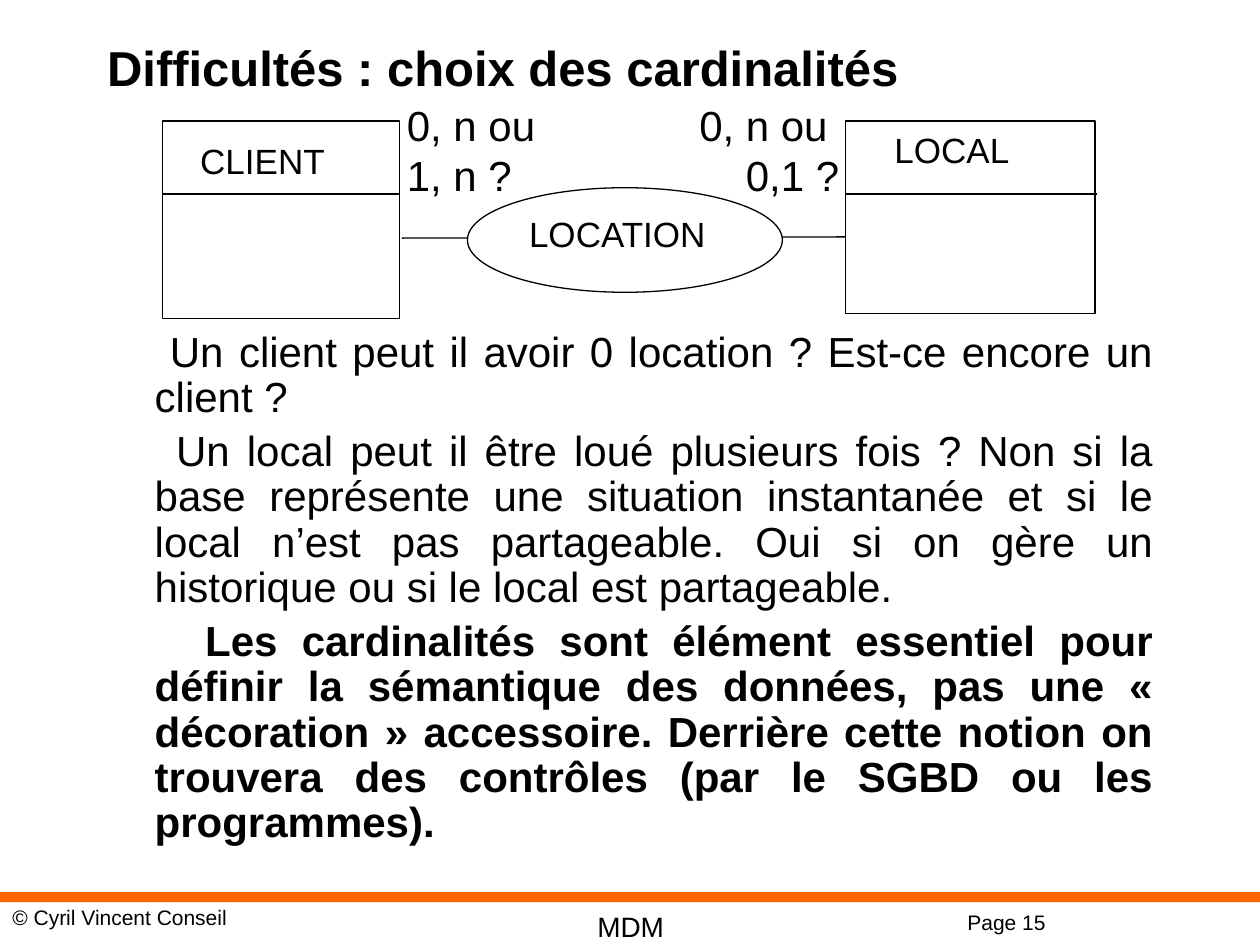
from pptx import Presentation
from pptx.dml.color import RGBColor
from pptx.enum.shapes import MSO_CONNECTOR, MSO_SHAPE
from pptx.enum.text import MSO_ANCHOR, PP_ALIGN
from pptx.oxml.ns import qn
from pptx.util import Inches, Pt
from lxml import etree

BLACK = RGBColor(0x00, 0x00, 0x00)
WHITE = RGBColor(0xFF, 0xFF, 0xFF)
ORANGE = RGBColor(0xFF, 0x66, 0x00)
LEFT, CENTER, RIGHT, JUSTIFY = (
    PP_ALIGN.LEFT, PP_ALIGN.CENTER, PP_ALIGN.RIGHT, PP_ALIGN.JUSTIFY)
TOP = MSO_ANCHOR.TOP
RECTANGLE, OVAL = MSO_SHAPE.RECTANGLE, MSO_SHAPE.OVAL
STRAIGHT = MSO_CONNECTOR.STRAIGHT
FONT = "Arial"
LINE_WIDTH = Pt(0.75)

QUESTIONS = [
    ("Un client peut il avoir 0 location ? Est-ce encore un client ?", 0.12, False),
    ("Un local peut il être loué plusieurs fois ? Non si la base représente "
     "une situation instantanée et si le local n’est pas partageable. Oui si "
     "on gère un historique ou si le local est partageable.", 0.17, False),
    ("Les cardinalités sont élément essentiel pour définir la sémantique des "
     "données, pas une « décoration » accessoire. Derrière cette notion on "
     "trouvera des contrôles (par le SGBD ou les programmes).", 0.4, True),
]


def format_paragraph(paragraph, size, align=LEFT, bold=False):
    paragraph.alignment = align
    paragraph.font.name = FONT
    paragraph.font.size = Pt(size)
    paragraph.font.bold = bold
    paragraph.font.color.rgb = BLACK


def add_title(slide, text):
    title = slide.shapes.title
    title.left, title.top = Inches(0.75), Inches(0.3)
    title.width, title.height = Inches(8.5), Inches(0.6)
    title.text_frame.text = text
    title.text_frame.vertical_anchor = TOP
    paragraph = title.text_frame.paragraphs[0]
    paragraph.line_spacing = 0.9
    format_paragraph(paragraph, 28, bold=True)


def add_text(slide, lines, left, top, width, height, size, align=LEFT, wrap=False):
    box = slide.shapes.add_textbox(
        Inches(left), Inches(top), Inches(width), Inches(height))
    frame = box.text_frame
    frame.word_wrap = wrap
    frame.text = "\n".join(lines)
    for paragraph in frame.paragraphs:
        format_paragraph(paragraph, size, align)
    return frame


def add_questions(slide):
    frame = add_text(slide, [text for text, _, _ in QUESTIONS],
                     0.75, 2.58, 8.5, 4.5, 24, JUSTIFY, wrap=True)
    for index, paragraph in enumerate(frame.paragraphs):
        _, indent, bold = QUESTIONS[index]
        properties = paragraph._p.get_or_add_pPr()
        properties.set("marL", str(Inches(0.38)))
        properties.set("indent", str(Inches(indent)))
        paragraph.line_spacing = 0.9
        paragraph.space_before = Pt(4.8 if index else 0)
        paragraph.font.bold = bold


def add_box(slide, kind, left, top, width, height, fill=WHITE, outlined=True):
    shape = slide.shapes.add_shape(
        kind, Inches(left), Inches(top), Inches(width), Inches(height))
    shape.shadow.inherit = False
    shape.fill.solid()
    shape.fill.fore_color.rgb = fill
    if outlined:
        shape.line.color.rgb = BLACK
        shape.line.width = LINE_WIDTH
    else:
        shape.line.fill.background()


def add_line(slide, start_x, start_y, end_x, end_y):
    line = slide.shapes.add_connector(
        STRAIGHT, Inches(start_x), Inches(start_y), Inches(end_x), Inches(end_y))
    line.line.color.rgb = BLACK
    line.line.width = LINE_WIDTH
    etree.SubElement(line._element.spPr, qn("a:effectLst"))


def add_footer(slide):
    add_box(slide, RECTANGLE, 0, 7.08, 10, 0.08, ORANGE, outlined=False)
    add_text(slide, ["Page 15"], 7.58, 7.17, 1.33, 0.3, 12, wrap=True)
    add_text(slide, ["MDM"], 2.42, 7.17, 5.17, 0.37, 16, CENTER, wrap=True)
    add_text(slide, ["© Cyril Vincent Conseil"], 0, 7.13, 3.75, 0.3, 12, wrap=True)


def add_diagram(slide):
    add_box(slide, RECTANGLE, 1.29, 0.96, 1.88, 1.57)
    add_box(slide, RECTANGLE, 6.71, 0.96, 1.98, 1.53)
    add_line(slide, 1.29, 1.54, 3.17, 1.54)
    add_line(slide, 6.71, 1.54, 8.71, 1.54)
    add_line(slide, 3.19, 1.89, 6.71, 1.88)
    add_box(slide, OVAL, 3.71, 1.49, 2.5, 0.83)
    add_text(slide, ["CLIENT"], 1.49, 1.06, 1.19, 0.43, 20)
    add_text(slide, ["LOCAL"], 7, 0.97, 1.11, 0.43, 20)
    add_text(slide, ["LOCATION"], 4.1, 1.64, 1.62, 0.43, 20)
    add_text(slide, ["0, n ou", "1, n ?"], 3.13, 0.74, 1.22, 0.9, 24)
    add_text(slide, ["0, n ou ", "0,1 ?"], 5.45, 0.74, 1.31, 0.9, 24, RIGHT)


def main():
    presentation = Presentation()
    presentation.slide_width, presentation.slide_height = Inches(10), Inches(7.5)
    slide = presentation.slides.add_slide(presentation.slide_layouts[5])
    add_footer(slide)
    add_title(slide, "Difficultés : choix des cardinalités")
    add_questions(slide)
    add_diagram(slide)
    presentation.save("out.pptx")


if __name__ == "__main__":
    main()
